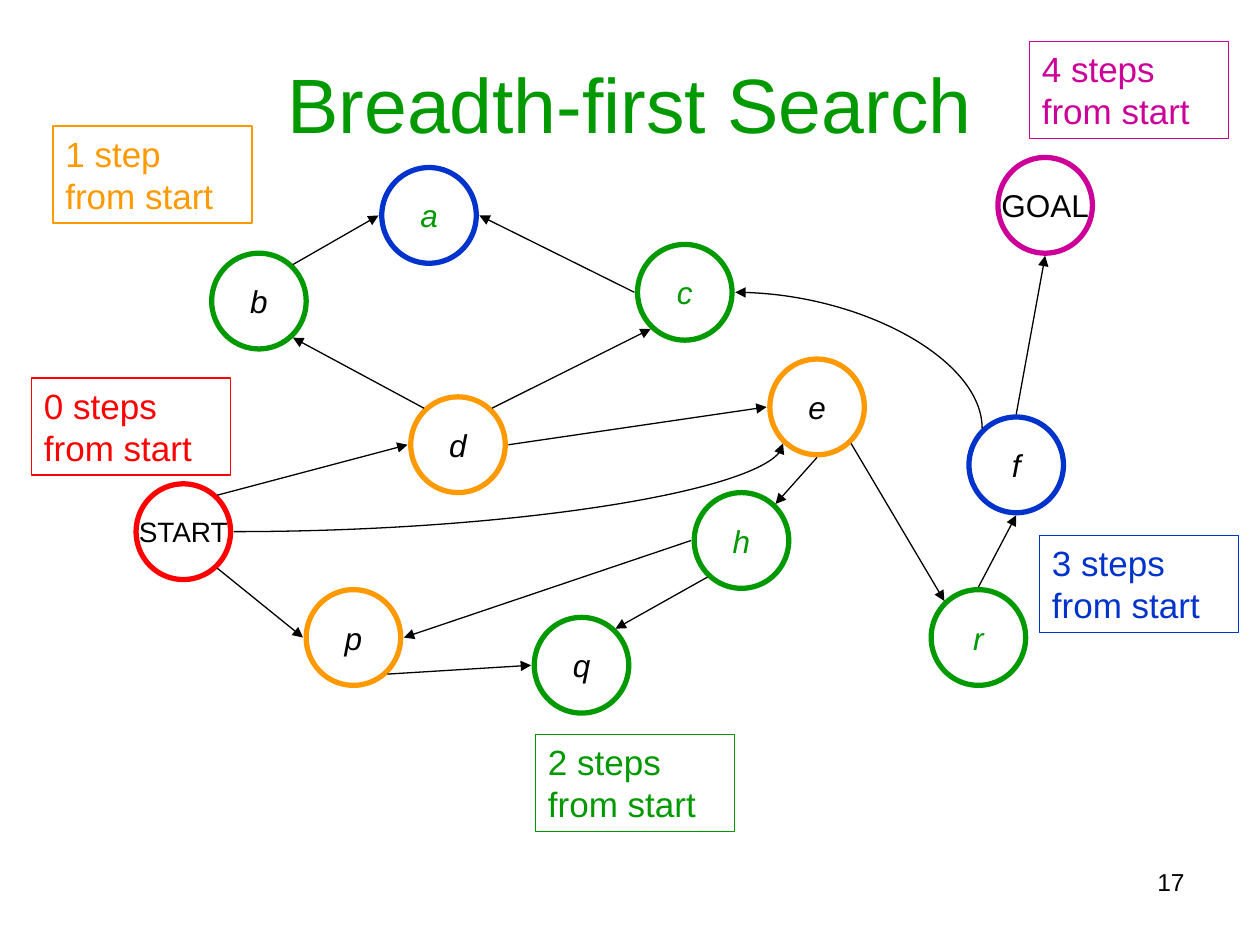
from lxml.etree import SubElement
from pptx import Presentation
from pptx.dml.color import RGBColor
from pptx.enum.shapes import MSO_CONNECTOR, MSO_SHAPE
from pptx.enum.text import MSO_ANCHOR, MSO_AUTO_SIZE, PP_ALIGN
from pptx.oxml.ns import qn
from pptx.util import Inches, Pt

BLACK, RED, ORANGE = "000000", "FF0000", "FF9900"
GREEN, BLUE, PINK = "009900", "0033CC", "CC0099"


def style(text, size, color, align, italic=None):
    para = text.paragraphs[0]
    para.alignment = align
    para.font.name = "Arial"
    para.font.size = Pt(size)
    para.font.italic = italic
    para.font.color.rgb = RGBColor.from_string(color)


def link(kind, start, end):
    line = slide.shapes.add_connector(kind, *map(Inches, start + end))
    line.line.color.rgb = RGBColor.from_string(BLACK)
    line.line.width = Pt(0.75)
    SubElement(line.line._get_or_add_ln(), qn("a:tailEnd"), type="triangle")
    props = line._element.spPr
    SubElement(props, qn("a:effectLst"))
    if kind == MSO_CONNECTOR.CURVE:
        props.find(qn("a:prstGeom")).set("prst", "curvedConnector2")
    return line


prs = Presentation()
prs.slide_width, prs.slide_height = Inches(10), Inches(7.5)
slide = prs.slides.add_slide(prs.slide_layouts[5])

# Title
title = slide.shapes.title
title.left, title.top = Inches(0.5), Inches(0.3)
title.width, title.height = Inches(9), Inches(1.03)
text = title.text_frame
text.text = "Breadth-first Search"
text.vertical_anchor = MSO_ANCHOR.MIDDLE
style(text, 44, GREEN, PP_ALIGN.CENTER)

# Graph nodes: name, left, top, ring colour, text colour
WIDE, HIGH = 0.75, 0.76
nodes = [
    ("START", 1.08, 3.84, RED, BLACK),
    ("GOAL", 7.92, 1.25, PINK, BLACK),
    ("d", 3.26, 3.15, ORANGE, BLACK),
    ("b", 1.68, 2.01, GREEN, BLACK),
    ("p", 2.43, 4.68, ORANGE, BLACK),
    ("q", 4.24, 4.9, GREEN, BLACK),
    ("c", 5.06, 1.94, GREEN, GREEN),
    ("e", 6.11, 2.85, ORANGE, BLACK),
    ("h", 5.51, 3.91, GREEN, GREEN),
    ("a", 3.03, 1.33, BLUE, GREEN),
    ("f", 7.69, 3.31, BLUE, BLACK),
    ("r", 7.39, 4.68, GREEN, GREEN),
]
# Ports sit just outside the ring, as offsets from the centre
sides = {"N": (0, -0.4), "S": (0, 0.4), "E": (0.4, 0), "W": (-0.4, 0),
         "NE": (0.27, -0.29), "NW": (-0.27, -0.29),
         "SE": (0.27, 0.29), "SW": (-0.27, 0.29)}
ports = {}
for name, left, top, ring, color in nodes:
    node = slide.shapes.add_shape(MSO_SHAPE.FLOWCHART_CONNECTOR, Inches(left),
                                  Inches(top), Inches(WIDE), Inches(HIGH))
    node.shadow.inherit = False
    node.fill.background()
    node.line.color.rgb = RGBColor.from_string(ring)
    node.line.width = Pt(3)
    text = node.text_frame
    text.text = name
    text.word_wrap = False
    text.vertical_anchor = MSO_ANCHOR.MIDDLE
    style(text, 16 if name == "START" else 18, color, PP_ALIGN.CENTER,
          len(name) == 1)
    for side, (dx, dy) in sides.items():
        ports[name, side] = (left + WIDE / 2 + dx, top + HIGH / 2 + dy)

# Straight arrows
edges = [
    ("START", "SE", "p", "W"), ("p", "SE", "q", "W"), ("h", "SW", "q", "NE"),
    ("h", "W", "p", "E"), ("e", "S", "h", "NE"), ("e", "SE", "r", "NW"),
    ("r", "N", "f", "S"), ("f", "N", "GOAL", "S"), ("START", "NE", "d", "W"),
    ("d", "NW", "b", "SE"), ("b", "NE", "a", "W"), ("c", "W", "a", "E"),
    ("d", "NE", "c", "SW"), ("d", "E", "e", "W"),
]
for tail, out, head, into in edges:
    link(MSO_CONNECTOR.STRAIGHT, ports[tail, out], ports[head, into])

# Curved arrows: the one from f leaves upwards, so it is a quarter turn
link(MSO_CONNECTOR.CURVE, ports["START", "E"], ports["e", "SW"])
(x1, y1), (x2, y2) = ports["f", "NW"], ports["c", "E"]
midx, midy = (x1 + x2) / 2, (y1 + y2) / 2
halfx, halfy = (y1 - y2) / 2, (x1 - x2) / 2
turn = link(MSO_CONNECTOR.CURVE, (midx - halfx, midy + halfy),
            (midx + halfx, midy - halfy))
turn._element.spPr.find(qn("a:xfrm")).set("rot", str(270 * 60000))

# Distance labels
labels = [
    ("0 steps from start", 0.25, 3, RED, 0.75),
    ("1 step from start", 0.42, 1, ORANGE, 0.75),
    ("2 steps from start", 4.25, 5.83, GREEN, 1),
    ("3 steps from start", 8.25, 4.25, BLUE, 1),
    ("4 steps from start", 8.17, 0.33, PINK, 1),
]
for words, left, top, color, width in labels:
    box = slide.shapes.add_textbox(Inches(left), Inches(top),
                                   Inches(1.58), Inches(0.77))
    box.line.color.rgb = RGBColor.from_string(color)
    box.line.width = Pt(width)
    text = box.text_frame
    text.text = words
    text.word_wrap = True
    text.auto_size = MSO_AUTO_SIZE.SHAPE_TO_FIT_TEXT
    style(text, 20, color, PP_ALIGN.LEFT)

# Page number
page = slide.shapes.add_textbox(Inches(4.83), Inches(6.83),
                                Inches(4.67), Inches(0.52))
text = page.text_frame
text.text = "17"
text.word_wrap = True
style(text, 14, BLACK, PP_ALIGN.RIGHT)

prs.save("out.pptx")
